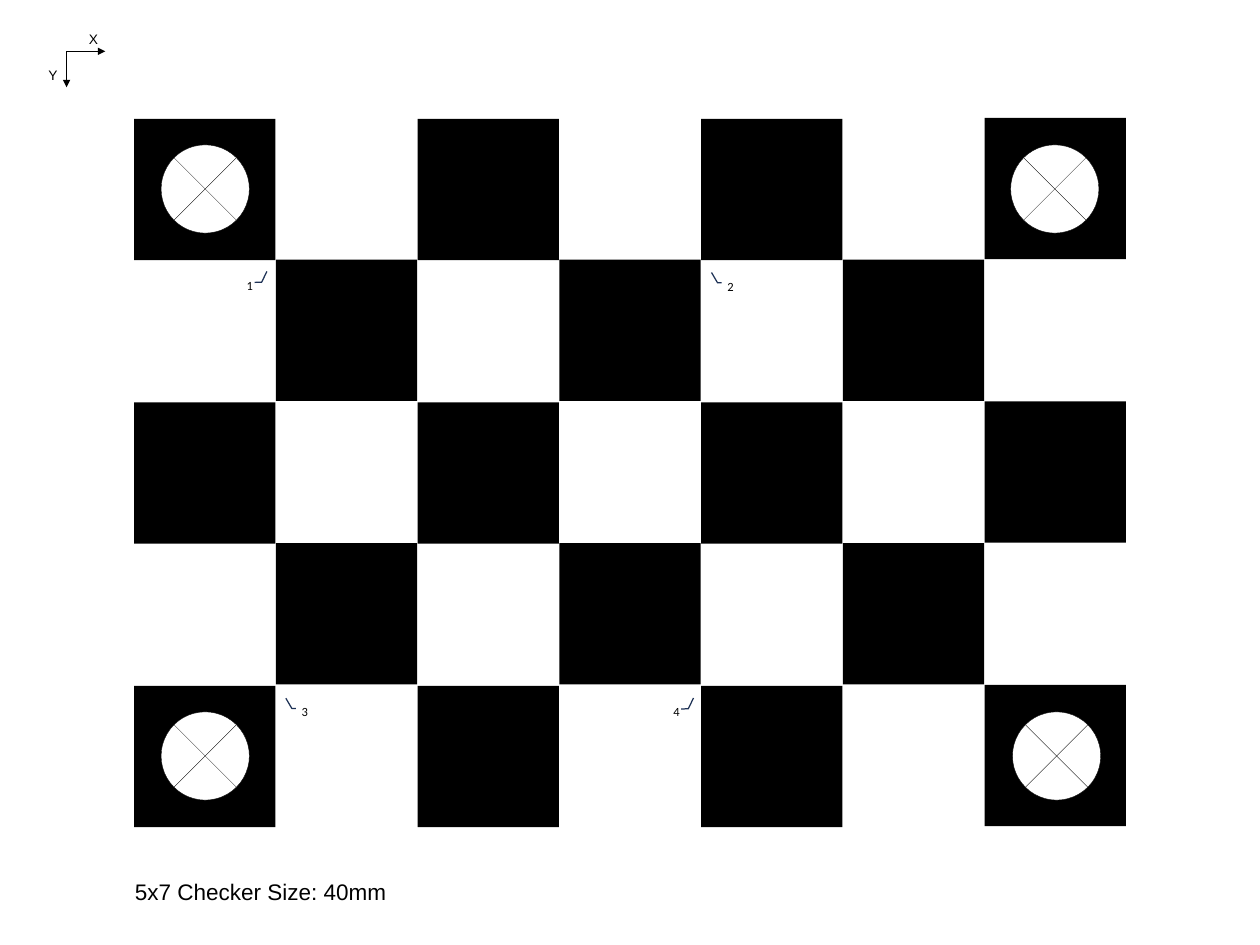
import pptx
import pptx.util
import pptx.dml.color
import pptx.enum.shapes
import pptx.enum.text
import pptx.oxml.ns
import lxml.etree

Inches, Pt = pptx.util.Inches, pptx.util.Pt
SHAPE = pptx.enum.shapes.MSO_SHAPE
ALIGN = pptx.enum.text.PP_ALIGN
ANCHOR = pptx.enum.text.MSO_ANCHOR
AUTO_SIZE = pptx.enum.text.MSO_AUTO_SIZE

COLORS = {"black": "000000", "white": "FFFFFF", "callout": "1E3256"}

# Content: labels as (text, left, top, width, height, size, wrap)
LABELS = [
    ("X", 0.89, 0.29, 0.3, 0.29, 11, True),
    ("Y", 0.44, 0.69, 0.3, 0.29, 11, True),
    ("5x7 Checker Size: 40mm", 1.4, 9.71, 3.02, 0.4, 18, False),
]
AXIS_ORIGIN = (0.74, 0.57)
AXIS_ENDS = [(0.74, 0.97), (1.17, 0.57)]

# Checkerboard
ROWS, COLUMNS = 5, 7
BOARD_LEFT, BOARD_TOP = 1.49, 1.32
PITCH, CHECKER = 1.575, 1.57
NUDGE = 0.01  # odd rows and the last column sit slightly higher

# Corner targets and numbered corner callouts
TARGET_SIZE = 0.98
TARGETS = [(1.79, 1.61), (1.79, 7.91), (11.25, 7.91), (11.23, 1.61)]
POINTS_LEFT = (0.302, 0.936, 0.286, 1.377, -0.465, 1.699)
POINTS_RIGHT = (0.269, 0.101, 0.269, -0.152, -0.449, -0.525)
CALLOUTS = [
    ("1", 2.66, 3.09, POINTS_LEFT),
    ("2", 8, 3.1, POINTS_RIGHT),
    ("3", 3.27, 7.83, POINTS_RIGHT),
    ("4", 7.4, 7.83, POINTS_LEFT),
]


def color(name):
    return pptx.dml.color.RGBColor.from_string(COLORS[name])


def style_text(frame, text, font, size):
    frame.text = text
    run_font = frame.paragraphs[0].runs[0].font
    run_font.name, run_font.size = font, Pt(size)
    run_font.color.rgb = color("black")


def add_shape(shapes, kind, left, top, width, height, fill=None, line=None, weight=1):
    shape = shapes.add_shape(kind, Inches(left), Inches(top), Inches(width), Inches(height))
    shape.shadow.inherit = False
    if fill:
        shape.fill.solid()
        shape.fill.fore_color.rgb = color(fill)
    else:
        shape.fill.background()
    if line:
        shape.line.color.rgb = color(line)
        shape.line.width = Pt(weight)
    else:
        shape.line.fill.background()
    return shape


def add_axis(shapes, end):
    axis = shapes.add_connector(pptx.enum.shapes.MSO_CONNECTOR.STRAIGHT,
                                *[Inches(v) for v in AXIS_ORIGIN + end])
    axis.line.color.rgb = color("black")
    axis.line.width = Pt(1)
    qn = pptx.oxml.ns.qn
    lxml.etree.SubElement(axis.line._get_or_add_ln(), qn("a:tailEnd"), type="triangle")
    lxml.etree.SubElement(axis._element.spPr, qn("a:effectLst"))


def add_label(shapes, text, left, top, width, height, size, wrap):
    label = shapes.add_textbox(Inches(left), Inches(top), Inches(width), Inches(height))
    frame = label.text_frame
    frame.word_wrap = wrap
    frame.auto_size = AUTO_SIZE.SHAPE_TO_FIT_TEXT
    style_text(frame, text, "Arial", size)


def add_board(shapes):
    # Each pair of columns forms one group
    for first in range(0, COLUMNS, 2):
        pair = shapes.add_group_shape()
        for column in range(first, min(first + 2, COLUMNS)):
            for row in range(column % 2, ROWS, 2):
                raised = row % 2 or column == COLUMNS - 1
                top = BOARD_TOP + row * PITCH - (NUDGE if raised else 0)
                add_shape(pair.shapes, SHAPE.RECTANGLE, BOARD_LEFT + column * PITCH, top,
                          CHECKER, CHECKER, fill="black")


def add_callout(shapes, number, left, top, points):
    callout = add_shape(shapes, SHAPE.LINE_CALLOUT_2_NO_BORDER, left, top, 0.18, 0.16,
                        line="callout")
    for i, value in enumerate(points):
        callout.adjustments[i] = value
    style_text(callout.text_frame, number, "Calibri", 10)
    callout.text_frame.vertical_anchor = ANCHOR.MIDDLE
    callout.text_frame.paragraphs[0].alignment = ALIGN.CENTER


def main():
    deck = pptx.Presentation()
    deck.slide_width, deck.slide_height = Inches(14), Inches(10.5)
    shapes = deck.slides.add_slide(deck.slide_layouts[6]).shapes

    for end in AXIS_ENDS:
        add_axis(shapes, end)
    for label in LABELS:
        add_label(shapes, *label)
    add_board(shapes)
    for left, top in TARGETS:
        add_shape(shapes, SHAPE.FLOWCHART_SUMMING_JUNCTION, left, top, TARGET_SIZE,
                  TARGET_SIZE, fill="white", line="black", weight=0.25)
    for callout in CALLOUTS:
        add_callout(shapes, *callout)

    deck.save("out.pptx")


if __name__ == "__main__":
    main()
